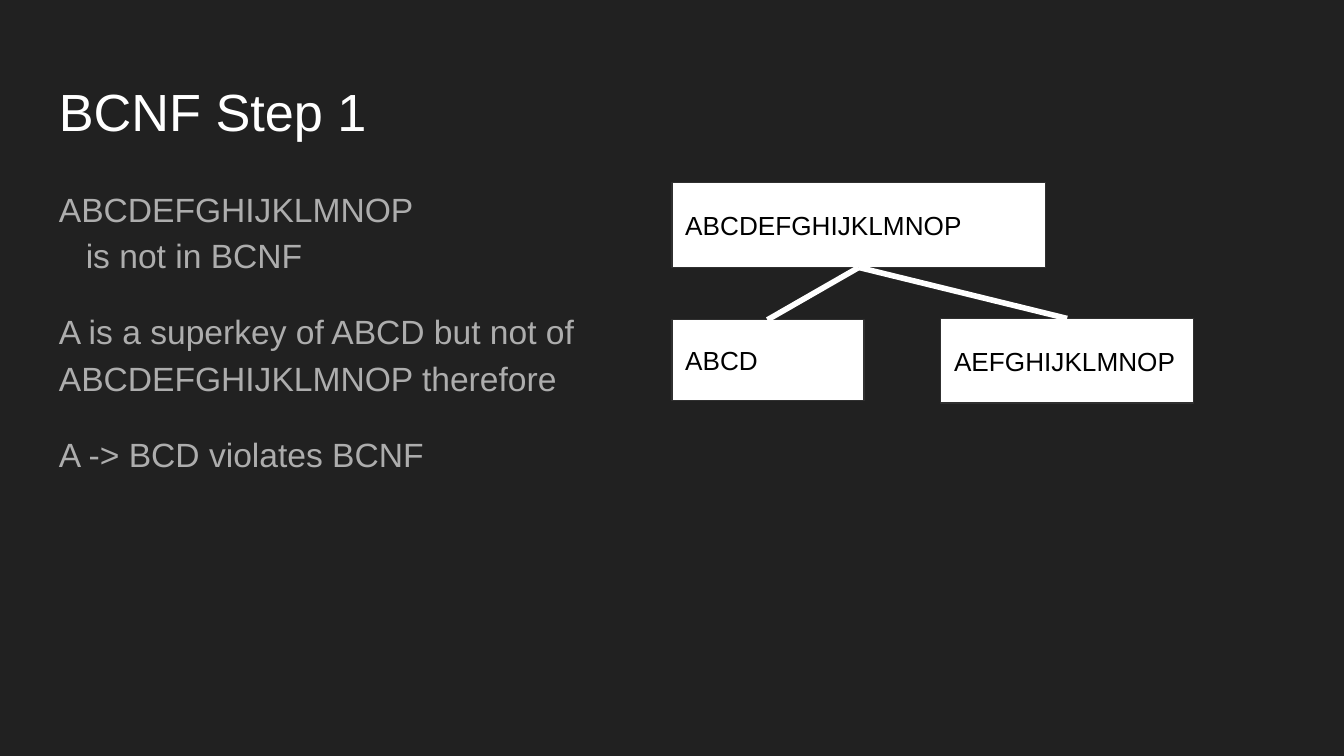
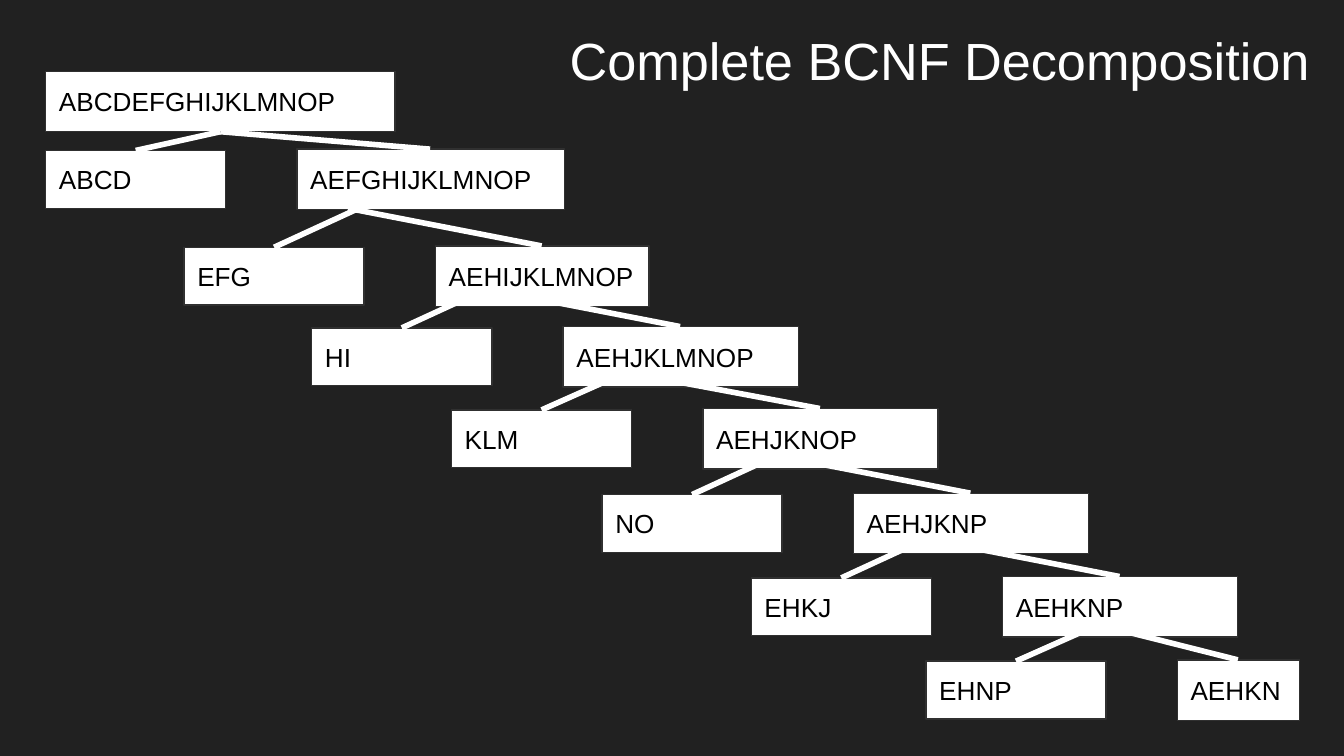
from dataclasses import dataclass

from pptx import Presentation
from pptx import util as u
from pptx.dml.color import RGBColor
from pptx.enum import shapes, text
from pptx.oxml.ns import qn
from pptx.slide import Slide
from pptx.text.text import TextFrame

PX = u.Inches(1) // 100
FONT = "Arial"
DARK = RGBColor(0x21, 0x21, 0x21)
EDGE = RGBColor(0x30, 0x30, 0x30)
GRAY = RGBColor(0xAD, 0xAD, 0xAD)
WHITE = RGBColor(0xFF, 0xFF, 0xFF)
BLACK = RGBColor(0, 0, 0)
FULL = "ABCDEFGHIJKLMNOP"


@dataclass(frozen=True)
class Box:
    label: str
    x: int
    y: int
    w: int
    h: int

    @property
    def mid(self) -> int:
        return self.x + self.w // 2


@dataclass(frozen=True)
class Split:
    leaf: Box
    rest: Box
    left: tuple[int, int]
    right: tuple[int, int]


@dataclass(frozen=True)
class Step:
    leaf: str
    rest: str
    x: int
    y: int
    width: int
    rise: int = 29
    shift: int = 0

    def split(self) -> Split:
        leaf = Box(self.leaf, self.x, self.y, 134, 43)
        rest = Box(self.rest, self.x + 187, self.y - 1, self.width, 45)
        fork, top = leaf.mid + 63, self.y - self.rise
        return Split(leaf, rest, (fork, top), (fork + self.shift, top))


STEPS = (
    Step("ABCD", "AEFGHIJKLMNOP", 34, 112, 199, rise=14),
    Step("EFG", "AEHIJKLMNOP", 137, 184, 159, shift=-8),
    Step("HI", "AEHJKLMNOP", 232, 244, 175),
    Step("KLM", "AEHJKNOP", 336, 305, 175, rise=28),
    Step("NO", "AEHJKNP", 448, 368, 175),
    Step("EHKJ", "AEHKNP", 559, 430, 175),
    Step("EHNP", "AEHKN", 689, 492, 91, rise=28, shift=-5),
)
FACTS = (
    f"{FULL}\vis not in BCNF",
    f"A is a superkey of ABCD but not of {FULL} therefore",
    "A -> BCD violates BCNF",
)


def write(frame: TextFrame, lines: tuple[str, ...], size: int, color: RGBColor) -> None:
    frame.word_wrap = True
    frame.margin_left = frame.margin_right = 10 * PX
    frame.margin_top = frame.margin_bottom = 10 * PX
    for i, line in enumerate(lines):
        para = frame.add_paragraph() if i else frame.paragraphs[0]
        para.text = line
        para.alignment = text.PP_ALIGN.LEFT
        para.font.name = FONT
        para.font.size = u.Pt(size)
        para.font.color.rgb = color


def add_text(slide: Slide, area: Box, lines: tuple[str, ...], size: int, color: RGBColor) -> TextFrame:
    frame = slide.shapes.add_textbox(
        area.x * PX, area.y * PX, area.w * PX, area.h * PX).text_frame
    write(frame, lines, size, color)
    return frame


def add_page(deck: Presentation, title: Box) -> Slide:
    slide = deck.slides.add_slide(deck.slide_layouts[6])
    slide.background.fill.solid()
    slide.background.fill.fore_color.rgb = DARK
    add_text(slide, title, (title.label,), 28, WHITE)
    return slide


def add_facts(slide: Slide) -> None:
    frame = add_text(slide, Box("", 34, 126, 410, 374), FACTS, 18, GRAY)
    for para in frame.paragraphs:
        para.line_spacing = 1.15
        para.space_after = u.Pt(16)
    props = frame.paragraphs[0]._p.get_or_add_pPr()
    props.set("marL", str(20 * PX))
    props.set("indent", str(-20 * PX))


def add_box(slide: Slide, box: Box) -> None:
    shape = slide.shapes.add_shape(
        shapes.MSO_SHAPE.RECTANGLE, box.x * PX, box.y * PX, box.w * PX, box.h * PX)
    shape.shadow.inherit = False
    shape.fill.solid()
    shape.fill.fore_color.rgb = WHITE
    shape.line.color.rgb = EDGE
    shape.line.width = u.Pt(0.75)
    shape.text_frame.vertical_anchor = text.MSO_ANCHOR.MIDDLE
    write(shape.text_frame, (box.label,), 14, BLACK)


def add_link(slide: Slide, start: tuple[int, int], box: Box) -> None:
    line = slide.shapes.add_connector(
        shapes.MSO_CONNECTOR.STRAIGHT,
        start[0] * PX, start[1] * PX, box.mid * PX, box.y * PX)
    line.line.color.rgb = WHITE
    line.line.width = u.Pt(3)
    props = line._element.spPr
    props.append(props.makeelement(qn("a:effectLst"), {}))


def add_split(slide: Slide, split: Split) -> None:
    add_box(slide, split.leaf)
    add_box(slide, split.rest)
    add_link(slide, split.left, split.leaf)
    add_link(slide, split.right, split.rest)


def main() -> None:
    deck = Presentation()
    deck.slide_width = 1000 * PX
    deck.slide_height = 1125 * PX // 2

    first = add_page(deck, Box("BCNF Step 1", 34, 49, 932, 63))
    add_facts(first)
    root = Box(FULL, 500, 136, 278, 63)
    add_box(first, root)
    fork = (root.mid, root.y + root.h)
    add_split(first, Split(
        Box("ABCD", 500, 238, 143, 60),
        Box("AEFGHIJKLMNOP", 700, 237, 188, 63), fork, fork))

    tree = add_page(deck, Box("Complete BCNF Decomposition", 414, 11, 604, 81))
    add_box(tree, Box(FULL, 34, 53, 260, 45))
    for step in STEPS:
        add_split(tree, step.split())

    deck.save("out.pptx")


if __name__ == "__main__":
    main()
